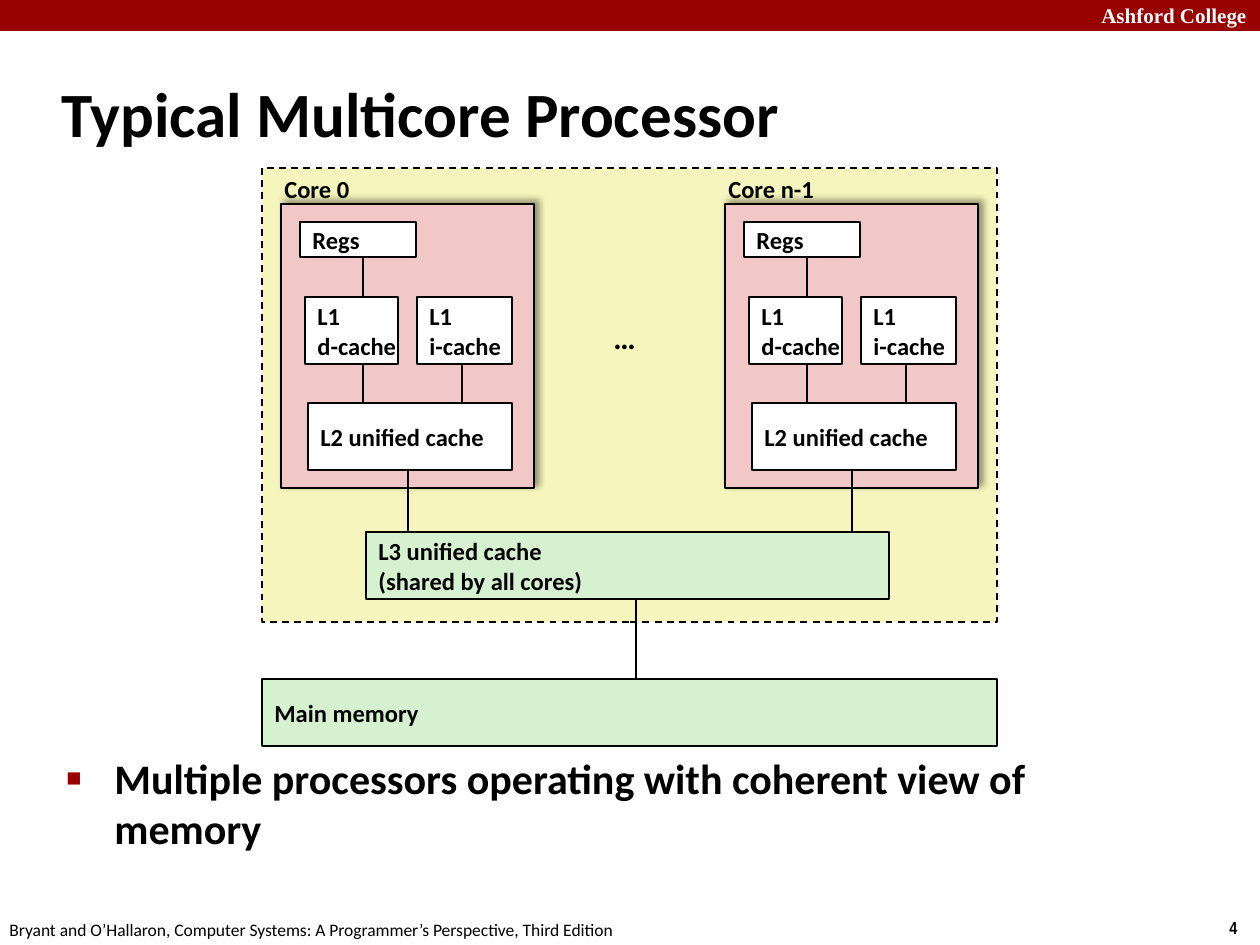
from lxml import etree
from pptx import Presentation
from pptx.dml.color import RGBColor
from pptx.enum.dml import MSO_LINE
from pptx.enum.shapes import MSO_CONNECTOR, MSO_SHAPE
from pptx.enum.text import MSO_ANCHOR
from pptx.oxml import parse_xml
from pptx.oxml.ns import qn
from pptx.util import Inches, Pt

PX = Inches(1) // 126
A_NS = "http://schemas.openxmlformats.org/drawingml/2006/main"
BLACK, WHITE, RED = "000000", "FFFFFF", "990000"
YELLOW, PINK, GREEN = "F6F5BD", "F1C7C7", "D5F1CF"


def rgb(value):
    """Turn a hex string into a colour."""
    return RGBColor.from_string(value)


def emu(*pixels):
    """Turn pixel lengths into EMU."""
    return [p * PX for p in pixels]


def write(shape, lines, size, font="Calibri", color=BLACK, bold=True,
          wrap=True, anchor=MSO_ANCHOR.TOP):
    """Fill a shape with left-aligned lines and return its paragraphs."""
    frame = shape.text_frame
    frame.word_wrap = wrap
    frame.vertical_anchor = anchor
    frame.text = "\n".join(lines)
    for paragraph in frame.paragraphs:
        paragraph.alignment = 1
        face = paragraph.runs[0].font
        face.name, face.size, face.bold = font, Pt(size), bold
        face.color.rgb = rgb(color)
    return frame.paragraphs


def label(slide, box, text, size, **style):
    """Add a text box with one line of text."""
    return write(slide.shapes.add_textbox(*emu(*box)), [text], size, **style)[0]


def block(slide, box, fill, lines=(), wrap=True, outline=BLACK):
    """Add a filled rectangle, with text if lines are given."""
    shape = slide.shapes.add_shape(MSO_SHAPE.RECTANGLE, *emu(*box))
    shape.shadow.inherit = False
    shape.fill.solid()
    shape.fill.fore_color.rgb = rgb(fill)
    if outline:
        shape.line.color.rgb = rgb(outline)
        shape.line.width = Pt(1)
    else:
        shape.line.fill.background()
    if lines:
        write(shape, lines, 14, wrap=wrap, anchor=MSO_ANCHOR.MIDDLE)
    return shape


def bus(slide, x, top, bottom):
    """Add a vertical line between two parts."""
    line = slide.shapes.add_connector(MSO_CONNECTOR.STRAIGHT, *emu(x, top, x, bottom))
    line.line.color.rgb = rgb(BLACK)
    line.line.width = Pt(1)
    etree.SubElement(line._element.spPr, qn("a:effectLst"))


def cast_shadow(shape):
    """Give a shape a soft shadow to the upper right."""
    effects = shape._element.spPr.find(qn("a:effectLst"))
    effects.append(parse_xml(
        f'<a:outerShdw xmlns:a="{A_NS}" blurRad="50800" dist="38100" dir="18900000" '
        'algn="bl" rotWithShape="0"><a:srgbClr val="000000"><a:alpha val="40000"/>'
        '</a:srgbClr></a:outerShdw>'))


def hang(paragraph, margin, bullet=None):
    """Set a hanging indent in pixels, with a bullet if one is given."""
    props = paragraph._p.get_or_add_pPr()
    props.set("marL", str(margin * PX))
    props.set("indent", str(-margin * PX))
    if bullet:
        color = etree.SubElement(props, qn("a:buClr"))
        etree.SubElement(color, qn("a:srgbClr"), val=RED)
        etree.SubElement(props, qn("a:buSzPct"), val="60000")
        etree.SubElement(props, qn("a:buFont"), typeface="Arial")
        etree.SubElement(props, qn("a:buChar"), char=bullet)


def core(slide, box, name, label_width):
    """Draw one core with its registers, caches and line down to L3."""
    left, top, width, height = box
    cast_shadow(block(slide, box, PINK))
    parts = [
        ((19, 18, 116, 35), ["Regs"], False),
        ((24, 93, 93, 67), ["L1", "d-cache"], False),
        ((136, 93, 95, 67), ["L1", "i-cache"], False),
        ((27, 199, 204, 67), ["L2 unified cache"], True),
    ]
    for (x, y, w, h), lines, wrap in parts:
        block(slide, (left + x, top + y, w, h), WHITE, lines, wrap)
    for x, start, end in [(82, 53, 93), (82, 160, 199), (181, 160, 199), (127, 266, 328)]:
        bus(slide, left + x, top + start, top + end)
    label(slide, (left - 9, top - 36, label_width, 43), name, 14, wrap=False)


def processor(slide, box):
    """Draw the chip with its cores, the shared cache and main memory."""
    left, top, width, height = box
    chip = block(slide, box, YELLOW)
    chip.line.dash_style = MSO_LINE.DASH
    for x, name, label_width in [(19, "Core 0", 91), (463, "Core n-1", 112)]:
        core(slide, (left + x, top + 36, 253, 284), name, label_width)
    label(slide, (left + 339, top + 144, 48, 50), "…", 18, wrap=False)
    block(slide, (left + 104, top + 364, 523, 67), GREEN,
          ["L3 unified cache", "(shared by all cores)"])
    block(slide, (left, top + 511, width, 67), GREEN, ["Main memory"])
    bus(slide, left + 374, top + 431, top + 511)


def header(slide, box):
    """Draw the band along the top with the school's name."""
    left, top, width, height = box
    block(slide, box, RED, outline=None)
    label(slide, (left + 1089, top - 4, 180, 38), "Ashford College", 12,
          font="Times New Roman", color=WHITE)


def footer(slide, box):
    """Write the book reference and the page number."""
    left, top, width, height = box
    label(slide, (left + width - 43, top - 2, 43, height), "4", 10,
          font="Arial Narrow", wrap=False)
    label(slide, (left - 3, top, 640, height),
          "Bryant and O’Hallaron, Computer Systems: A Programmer’s Perspective, Third Edition",
          10, bold=False, wrap=False)


def wording(slide, title_box, body_box):
    """Write the title and the bullet point."""
    title = label(slide, title_box, "Typical Multicore Processor", 36,
                  anchor=MSO_ANCHOR.MIDDLE)
    hang(title, 16)
    point = label(slide, body_box,
                  "Multiple processors operating with coherent view of memory", 24)
    point.space_before = Pt(5)
    hang(point, 48, "■")


def main():
    """Build the slide and save it."""
    deck = Presentation()
    deck.slide_width, deck.slide_height = Inches(10), Inches(7.5)
    slide = deck.slides.add_slide(deck.slide_layouts[6])
    header(slide, (0, 0, 1260, 31))
    footer(slide, (0, 913, 1260, 34))
    wording(slide, (49, 60, 1046, 105), (54, 746, 1089, 127))
    processor(slide, (262, 168, 735, 454))
    deck.save("out.pptx")


main()
